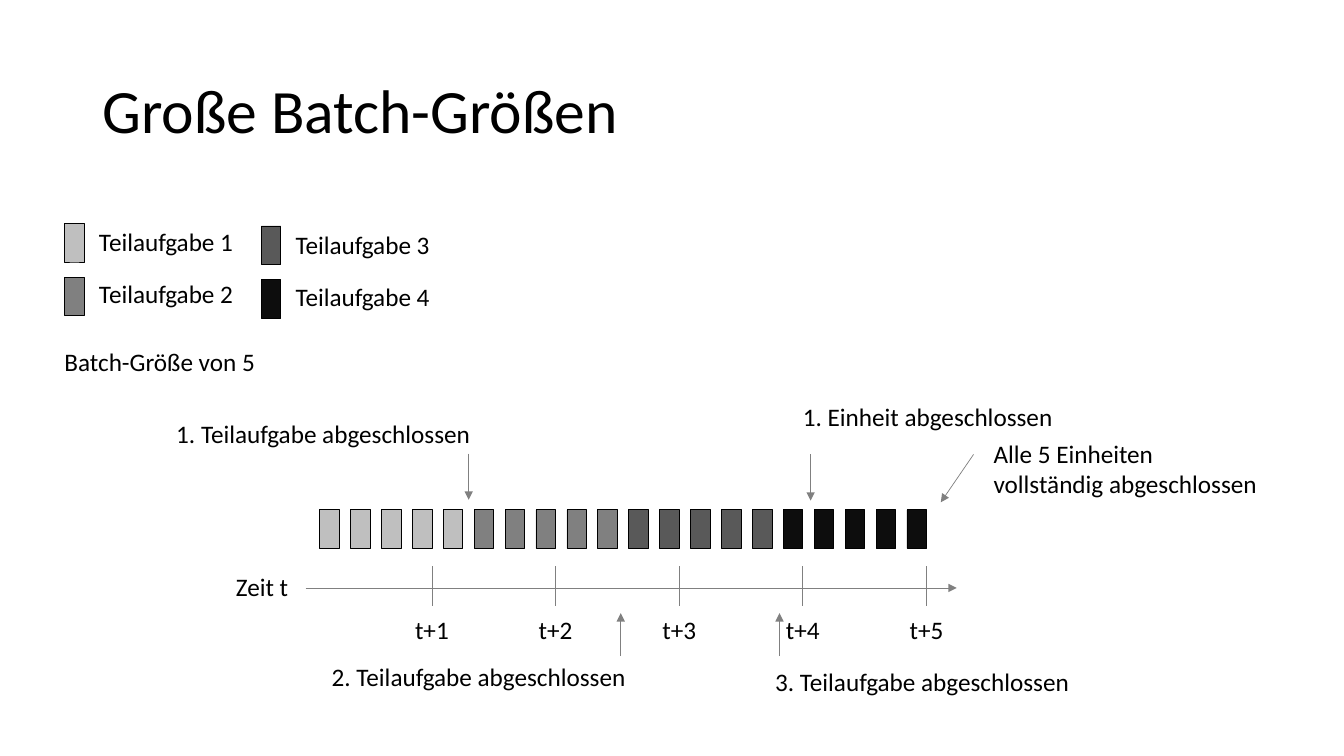
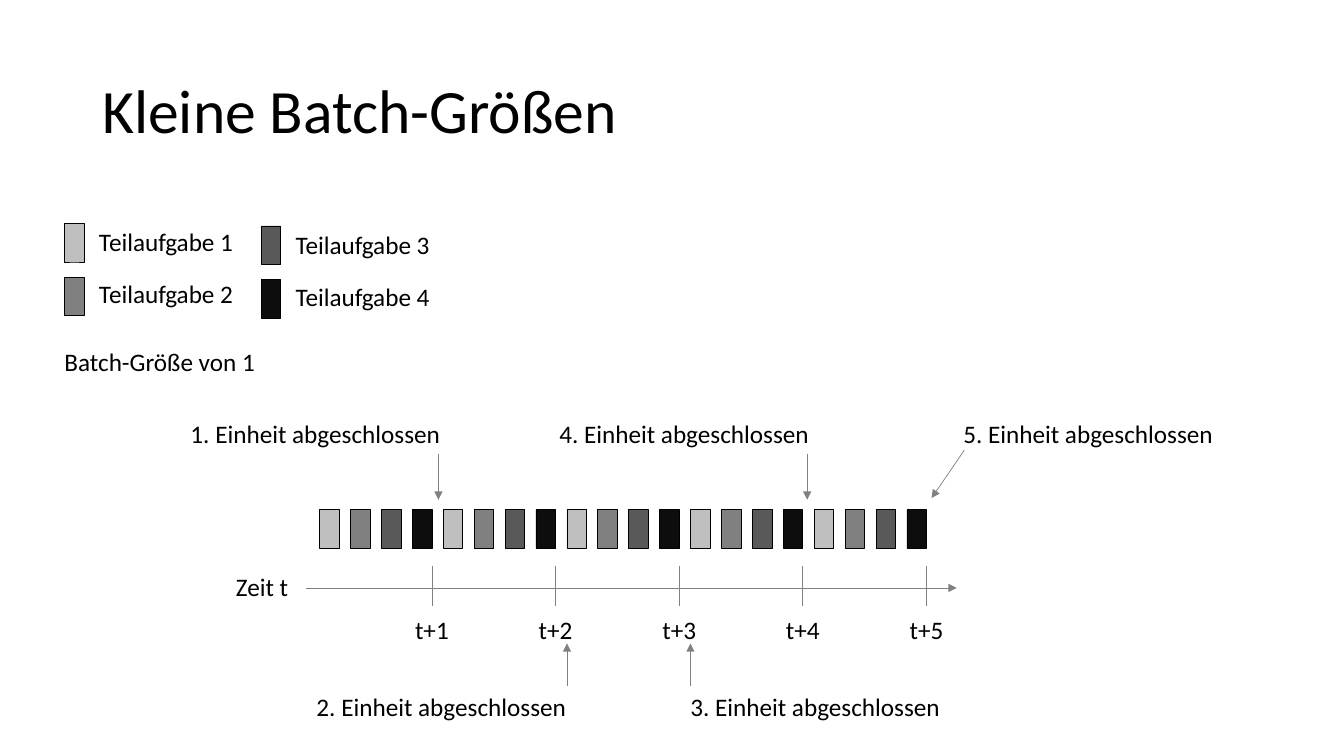
from dataclasses import dataclass

from lxml.etree import SubElement
from pptx import Presentation
from pptx.dml.color import RGBColor
from pptx.enum.shapes import MSO_CONNECTOR, MSO_SHAPE
from pptx.enum.text import MSO_ANCHOR, PP_ALIGN
from pptx.oxml.ns import qn
from pptx.util import Inches, Pt


@dataclass(frozen=True)
class Theme:
    font: str = "Calibri"
    ink: str = "000000"
    line: str = "808080"
    tones: tuple = ("BFBFBF", "808080", "595959", "0D0D0D")
    title: int = 44
    body: int = 18
    stroke: float = 0.5


class Deck:
    """Draws batch timelines on a grid of 160 columns by 90 rows."""

    cols, rows = 160, 90
    bar = (2.33, 4.6)
    start, pitch = 38.05, 3.68
    tasks, units = 4, 5

    def __init__(self, theme):
        self.theme = theme
        self.file = Presentation()
        self.file.slide_width = Inches(13.333)
        self.file.slide_height = Inches(7.5)

    def x(self, col):
        return round(self.file.slide_width * col / self.cols)

    def y(self, row):
        return round(self.file.slide_height * row / self.rows)

    def box(self, col, row, wide, high):
        return self.x(col), self.y(row), self.x(wide), self.y(high)

    def page(self, title):
        self.slide = self.file.slides.add_slide(self.file.slide_layouts[6])
        frame = self.text(title, 11, 4.8, 138, 17.4, self.theme.title)
        frame.vertical_anchor = MSO_ANCHOR.MIDDLE
        frame.paragraphs[0].line_spacing = 0.9

    def text(self, words, col, row, wide=40, high=4.8, size=None, align=PP_ALIGN.LEFT):
        shape = self.slide.shapes.add_textbox(*self.box(col, row, wide, high))
        frame = shape.text_frame
        frame.word_wrap = True
        para = frame.paragraphs[0]
        para.text = words
        para.alignment = align
        para.font.name = self.theme.font
        para.font.size = Pt(size or self.theme.body)
        para.font.color.rgb = RGBColor.from_string(self.theme.ink)
        return frame

    def block(self, col, row, task):
        shape = self.slide.shapes.add_shape(
            MSO_SHAPE.RECTANGLE, *self.box(col, row, *self.bar))
        shape.shadow.inherit = False
        shape.fill.solid()
        shape.fill.fore_color.rgb = RGBColor.from_string(self.theme.tones[task])
        self.pen(shape.line, self.theme.ink)

    def pen(self, line, color):
        line.color.rgb = RGBColor.from_string(color)
        line.width = Pt(self.theme.stroke)

    def rule(self, col, row, right, down, arrow=True):
        link = self.slide.shapes.add_connector(
            MSO_CONNECTOR.STRAIGHT, self.x(col), self.y(row),
            self.x(col + right), self.y(row + down))
        self.pen(link.line, self.theme.line)
        props = link._element.spPr
        if arrow:
            SubElement(props.find(qn("a:ln")), qn("a:tailEnd"), type="triangle")
        SubElement(props, qn("a:effectLst"))

    def legend(self):
        for task in range(self.tasks):
            col, row = divmod(task, 2)
            left, drop = 23.4 * col, 0.3 * col
            self.block(7.7 + left, 26.6 + drop + 6.4 * row, task)
            self.text(f"Teilaufgabe {task + 1}",
                      10.6 + left, 26.4 + drop + 6.15 * row, 20)

    def bars(self, batch):
        self.text(f"Batch-Größe von {batch}", 6.5, 40.6)
        for spot in range(self.tasks * self.units):
            self.block(self.start + self.pitch * spot, 60.7,
                       spot // batch % self.tasks)

    def axis(self):
        self.text("Zeit t", 26.9, 67.4, 9.5)
        self.rule(36.4, 70, 77.5, 0)
        for unit in range(1, self.units + 1):
            last = unit * self.tasks - 1
            tick = self.start + self.pitch * last + self.bar[0]
            self.rule(tick, 67.4, 0, 4.8, arrow=False)
            self.text(f"t+{unit}", tick - 5, 72.6, 10, align=PP_ALIGN.CENTER)

    def note(self, words, place, tail, move):
        self.text(words, *place)
        self.rule(*tail, *move)


DOWN, UP, SLANT = (0, 5.5), (0, -5.1), (-3.9, 5.7)
TASK, UNIT = "Teilaufgabe abgeschlossen", "Einheit abgeschlossen"

PAGES = (
    ("Große Batch-Größen", 5, (
        (f"1. {TASK}", (19.8, 49.2), (55.8, 54), DOWN),
        (f"2. {TASK}", (38.3, 78.1), (73.9, 78.1), UP),
        (f"3. {TASK}", (91.1, 78.7), (92.8, 78.1), UP),
        (f"1. {UNIT}", (94.4, 47.2), (96.5, 54.1), DOWN),
        ("Alle 5 Einheiten\nvollständig abgeschlossen",
         (117.1, 51.6), (115.9, 54.1), SLANT),
    )),
    ("Kleine Batch-Größen", 1, (
        (f"1. {UNIT}", (21.5, 49.2), (52.2, 54), DOWN),
        (f"2. {UNIT}", (36.5, 81.7), (67.5, 81.7), UP),
        (f"3. {UNIT}", (81, 81.7), (82.2, 81.7), UP),
        (f"4. {UNIT}", (65.4, 49.2), (96.1, 54), DOWN),
        (f"5. {UNIT}", (113.5, 49.2), (114.8, 53.6), SLANT),
    )),
)


def main():
    deck = Deck(Theme())
    for title, batch, notes in PAGES:
        deck.page(title)
        deck.legend()
        deck.bars(batch)
        deck.axis()
        for note in notes:
            deck.note(*note)
    deck.file.save("out.pptx")


if __name__ == "__main__":
    main()
